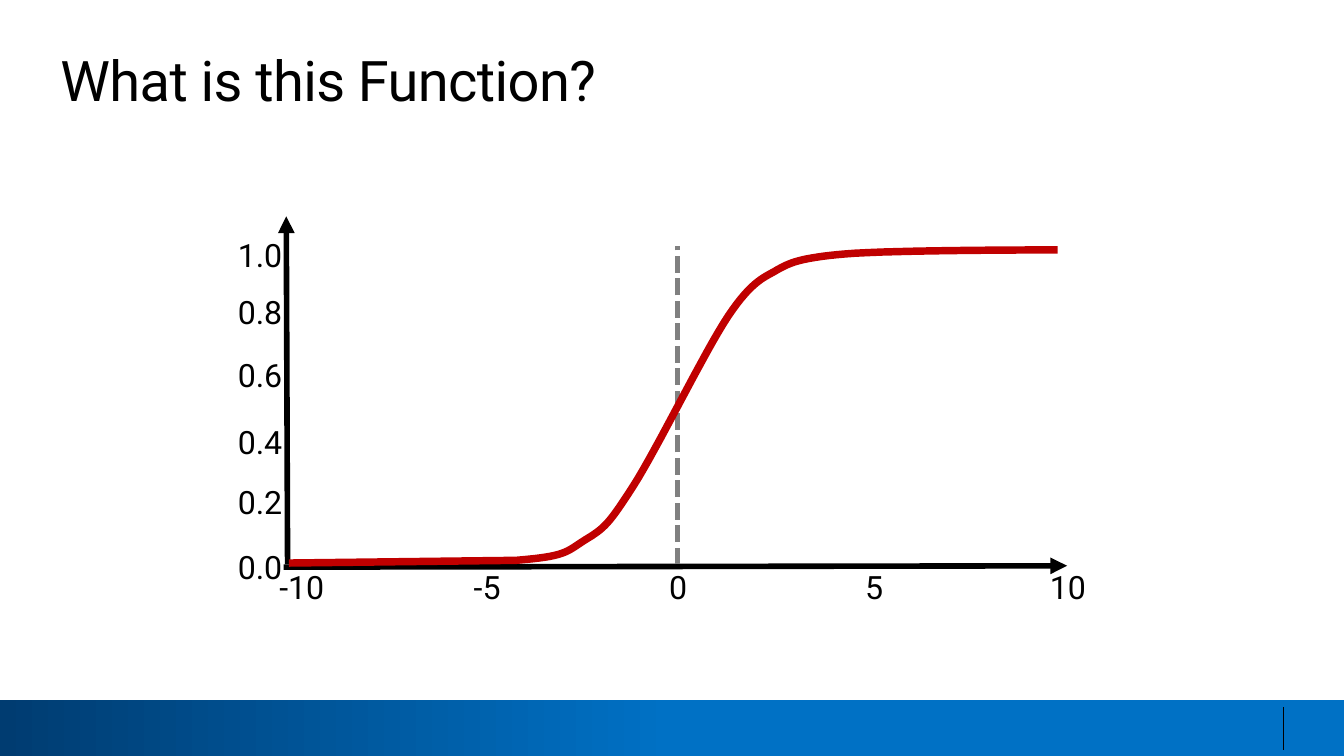
import pptx
import pptx.util
import pptx.dml.color
import pptx.enum.dml
import pptx.enum.shapes
import pptx.enum.text
import pptx.oxml.ns
from lxml import etree

Inches = pptx.util.Inches
Pt = pptx.util.Pt
RGBColor = pptx.dml.color.RGBColor
ALIGN = pptx.enum.text.PP_ALIGN
ANCHOR = pptx.enum.text.MSO_ANCHOR
SHAPE = pptx.enum.shapes.MSO_SHAPE
DASH = pptx.enum.dml.MSO_LINE
qn = pptx.oxml.ns.qn

BLACK = RGBColor(0x00, 0x00, 0x00)
NAVY = RGBColor(0x00, 0x3C, 0x71)
BLUE = RGBColor(0x00, 0x71, 0xC5)
GRAY = RGBColor(0x80, 0x80, 0x80)
RED = RGBColor(0xC0, 0x00, 0x00)


def add_text(s, text, x, y, w, h, size, align, anchor):
    tf = s.shapes.add_textbox(Inches(x), Inches(y), Inches(w), Inches(h)).text_frame
    frame_format = dict(margin_left=0, margin_top=0, margin_right=0, margin_bottom=0,
                        word_wrap=True, vertical_anchor=anchor)
    for name, value in frame_format.items():
        setattr(tf, name, value)
    p = tf.paragraphs[0]
    p.alignment = align
    p._p.get_or_add_pPr().set("marL", str(Inches(0.01)))
    r = p.add_run()
    r.text = text
    r.font.color.rgb = BLACK
    for name, value in dict(name="Roboto", size=Pt(size)).items():
        setattr(r.font, name, value)
    return r


def add_line(s, x1, y1, x2, y2, color, width, dash=None, arrow=False):
    c = s.shapes.add_connector(pptx.enum.shapes.MSO_CONNECTOR.STRAIGHT,
                               Inches(x1), Inches(y1), Inches(x2), Inches(y2))
    c.line.color.rgb = color
    for name, value in dict(width=Pt(width), dash_style=dash).items():
        setattr(c.line, name, value)
    if arrow:
        etree.SubElement(c.line._get_or_add_ln(), qn("a:tailEnd"), type="triangle")
    etree.SubElement(c._element.spPr, qn("a:effectLst"))


# 16:9 slide
prs = pptx.Presentation()
prs.slide_width = Inches(10)
prs.slide_height = Inches(10 * 9 / 16)
s = prs.slides.add_slide(prs.slide_layouts[6])

# Footer band
sp = s.shapes.add_shape(SHAPE.RECTANGLE, 0, Inches(5.21), Inches(10), Inches(0.42))
sp.shadow.inherit = False
sp.line.fill.background()
sp.fill.gradient()
sp.fill.gradient_angle = 0
for stop, position, color in zip(sp.fill.gradient_stops, (0, 0.5), (NAVY, BLUE)):
    stop.position = position
    stop.color.rgb = color
add_line(s, 9.55, 5.26, 9.55, 5.58, BLACK, 0.75)

# Title
r = add_text(s, "What is this Function?", 0.44, 0.34, 9.23, 0.5, 30, ALIGN.LEFT, ANCHOR.TOP)
r._r.get_or_add_rPr().set("spc", "-30")

# Axes
add_line(s, 2.11, 4.22, 7.94, 4.21, BLACK, 3, arrow=True)
add_line(s, 2.14, 4.2, 2.13, 1.61, BLACK, 3, arrow=True)

# Axis labels
y_labels = {"0.0": 4.07, "1.0": 1.75, "0.2": 3.59, "0.4": 3.14, "0.6": 2.64, "0.8": 2.17}
for text, y in y_labels.items():
    add_text(s, text, 1.7, y, 0.4, 0.29, 17.2, ALIGN.RIGHT, ANCHOR.MIDDLE)
x_labels = {"0": 4.84, "-5": 3.42, "-10": 2.04, "5": 6.3, "10": 7.74}
for text, x in x_labels.items():
    add_text(s, text, x, 4.22, 0.4, 0.29, 17.2, ALIGN.CENTER, ANCHOR.MIDDLE)

# Midpoint marker
add_line(s, 5.04, 4.2, 5.04, 1.83, GRAY, 3, dash=DASH.SQUARE_DOT)

# Sigmoid curve: Bezier segments sampled into short steps
STEPS = 16
points = [(3.84, 4.17)]
segments = [
    ((4.21, 4.14), (4.21, 4.11), (4.35, 4.02)),
    ((4.5, 3.93), (4.53, 3.9), (4.71, 3.62)),
    ((4.89, 3.34), (5.24, 2.62), (5.42, 2.35)),
    ((5.6, 2.08), (5.7, 2.06), (5.78, 2.01)),
    ((5.87, 1.96), (5.94, 1.92), (6.29, 1.89)),
    ((6.64, 1.86), (7.87, 1.86), (7.87, 1.86)),
]
for b, c, d in segments:
    a = points[-1]
    for i in range(1, STEPS + 1):
        t = i / STEPS
        u = 1 - t
        points.append(tuple(u**3 * a[k] + 3 * u * u * t * b[k] + 3 * u * t * t * c[k] + t**3 * d[k]
                            for k in (0, 1)))
builder = s.shapes.build_freeform(Inches(2.15), Inches(4.19))
builder.add_line_segments([(Inches(x), Inches(y)) for x, y in points], close=False)
sp = builder.convert_to_shape()
sp.shadow.inherit = False
sp.fill.background()
sp.line.color.rgb = RED
sp.line.width = Pt(4)

prs.save("out.pptx")
